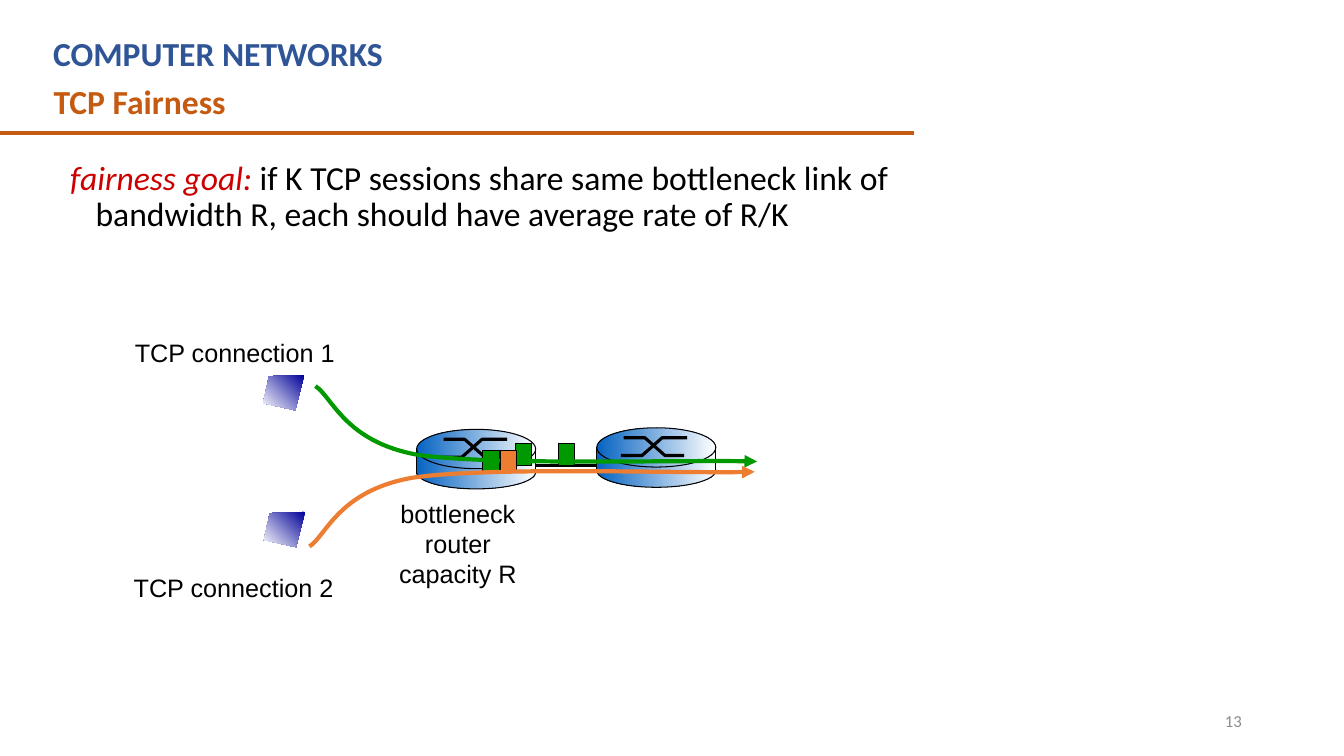
"""Build the TCP Fairness slide."""
from lxml import etree
from pptx import Presentation
from pptx.dml.color import RGBColor
from pptx.enum import shapes, text
from pptx.oxml import ns
from pptx.util import Cm, Pt

COLORS = {
    "heading": "2F5597", "topic": "C55A11", "goal": "CC0000",
    "black": "000000", "white": "FFFFFF", "number": "8C8C8C",
    "router": "0563C1", "host": "000099",
    "flow1": "009900", "flow2": "ED7D31",
}
ROUTERS = [(10.5, 10.82), (15.04, 10.78)]
HOSTS = [(6.63, 9.45), (6.65, 12.9)]
HOST_OUTLINE = [(1.04, 0), (0.15, 0.03), (0, 0.71), (0.81, 0.89)]
CROSS_LINES = [
    [(0.61, 0.7), (1.14, 0.7), (1.65, 0.25), (2.28, 0.25)],
    [(0.68, 0.25), (1.21, 0.25), (1.72, 0.7), (2.2, 0.7)],
]
FLOW1 = [(7.95, 9.73), (8.38, 10.01), (8.69, 11.13), (10.52, 11.46),
         (12.37, 11.73), (17.3, 11.58), (19.08, 11.63)]
FLOW2 = [(7.8, 13.77), (8.23, 13.49), (8.53, 12.37), (10.39, 12.04),
         (12.27, 11.76), (17.25, 11.94), (19.02, 11.89)]


def color(name):
    return RGBColor.from_string(COLORS[name])


def set_line(shape, name, width):
    shape.line.color.rgb = color(name)
    shape.line.width = Pt(width)


def set_gradient(shape, name, angle):
    shape.fill.gradient()
    shape.fill.gradient_angle = angle
    for stop, stop_name in zip(shape.fill.gradient_stops, (name, "white")):
        stop.color.rgb = color(stop_name)


def add_text(slide, box, lines, size, name, font="Calibri", bold=None,
             align=text.PP_ALIGN.LEFT, wrap=True):
    shape = slide.shapes.add_textbox(*map(Cm, box))
    frame = shape.text_frame
    frame.text = lines
    frame.word_wrap = wrap
    for paragraph in frame.paragraphs:
        paragraph.alignment = align
        for run in paragraph.runs:
            run.font.name, run.font.size, run.font.bold = font, Pt(size), bold
            run.font.color.rgb = color(name)
    return frame


def add_goal(slide):
    frame = add_text(slide, (1.52, 3.94, 21.16, 2.59), "fairness goal:", 24, "goal")
    paragraph = frame.paragraphs[0]
    paragraph.line_spacing = 0.9
    properties = paragraph._p.get_or_add_pPr()
    properties.set("marL", str(Cm(0.64)))
    properties.set("indent", str(-Cm(0.64)))
    paragraph.runs[0].font.italic = True
    run = paragraph.add_run()
    run.text = (" if K TCP sessions share same bottleneck link of bandwidth R, "
                "each should have average rate of R/K")
    run.font.name, run.font.size = "Calibri", Pt(24)
    run.font.color.rgb = color("black")


def add_line(slide, start, end, name, width):
    line = slide.shapes.add_connector(
        shapes.MSO_CONNECTOR.STRAIGHT, *map(Cm, start + end))
    set_line(line, name, width)
    etree.SubElement(line._element.spPr, ns.qn("a:effectLst"))


def add_block(slide, kind, box):
    shape = slide.shapes.add_shape(kind, *map(Cm, box))
    shape.shadow.inherit = False
    return shape


def add_path(slide, points, origin=(0, 0), close=False):
    placed = [(Cm(origin[0] + x), Cm(origin[1] + y)) for x, y in points]
    builder = slide.shapes.build_freeform(*placed[0])
    builder.add_line_segments(placed[1:], close=close)
    shape = builder.convert_to_shape()
    shape.shadow.inherit = False
    if not close:
        shape.fill.background()
    return shape


def add_flow(slide, points, name):
    """Draw a smooth arrow whose points are Bézier nodes and handles."""
    shape = add_path(slide, points)
    set_line(shape, name, 3)
    segments = list(shape._element.iter(ns.qn("a:lnTo")))
    for index in range(0, len(segments), 3):
        curve = etree.Element(ns.qn("a:cubicBezTo"))
        segments[index].addprevious(curve)
        for segment in segments[index:index + 3]:
            curve.append(segment[0])
            segment.getparent().remove(segment)
    etree.SubElement(shape.line._get_or_add_ln(), ns.qn("a:tailEnd"), type="triangle")


def add_router(slide, origin):
    left, top = origin
    oval, rectangle = shapes.MSO_SHAPE.OVAL, shapes.MSO_SHAPE.RECTANGLE
    for kind, offset, height in ((oval, 0.66, 0.84), (rectangle, 0.58, 0.51),
                                 (oval, 0, 0.99)):
        part = add_block(slide, kind, (left, top + offset, 3, height))
        set_gradient(part, "router", 0)
        if kind == oval:
            set_line(part, "black", 0.75)
        else:
            part.line.fill.background()
    for points in CROSS_LINES:
        set_line(add_path(slide, points, origin), "black", 2.25)
    for side in (left, left + 3):
        add_line(slide, (side, top + 0.48), (side, top + 1.12), "black", 0.75)


def add_packet(slide, left, top, name):
    packet = add_block(slide, shapes.MSO_SHAPE.RECTANGLE, (left, top, 0.41, 0.56))
    packet.fill.solid()
    packet.fill.fore_color.rgb = color(name)
    set_line(packet, "black", 0.75)


def add_host(slide, origin):
    host = add_path(slide, HOST_OUTLINE, origin, close=True)
    set_gradient(host, "host", 225)
    host.line.fill.background()


def add_label(slide, box, lines, align=text.PP_ALIGN.LEFT):
    add_text(slide, box, lines, 18, "black", "Arial", align=align, wrap=False)


def main():
    presentation = Presentation()
    presentation.slide_width, presentation.slide_height = Cm(33.87), Cm(19.05)
    slide = presentation.slides.add_slide(presentation.slide_layouts[6])

    add_text(slide, (1.09, 0.71, 20.83, 1.27), "COMPUTER NETWORKS", 24, "heading", bold=True)
    add_text(slide, (1.1, 1.92, 21.94, 1.27), "TCP Fairness", 24, "topic", bold=True)
    add_line(slide, (0, 3.35), (23.04, 3.35), "topic", 3)
    add_goal(slide)

    add_line(slide, (13.49, 11.74), (15.04, 11.74), "black", 2.25)
    for origin in ROUTERS:
        add_router(slide, origin)
    for left, top in ((14.07, 11.18), (12.17, 11.35), (12.98, 11.18)):
        add_packet(slide, left, top, "flow1")
    add_flow(slide, FLOW1, "flow1")
    add_packet(slide, 12.62, 11.35, "flow2")
    add_flow(slide, FLOW2, "flow2")
    for origin in HOSTS:
        add_host(slide, origin)

    add_label(slide, (3.15, 8.38, 5.56, 1.02), "TCP connection 1")
    add_label(slide, (3.12, 14.3, 5.56, 1.02), "TCP connection 2")
    add_label(slide, (9.8, 12.42, 3.48, 2.54), "bottleneck\nrouter\ncapacity R",
              text.PP_ALIGN.CENTER)
    number = add_text(slide, (23.93, 17.65, 7.62, 1.02), "13", 12, "number",
                      align=text.PP_ALIGN.RIGHT)
    number.vertical_anchor = text.MSO_ANCHOR.MIDDLE
    presentation.save("out.pptx")


if __name__ == "__main__":
    main()
